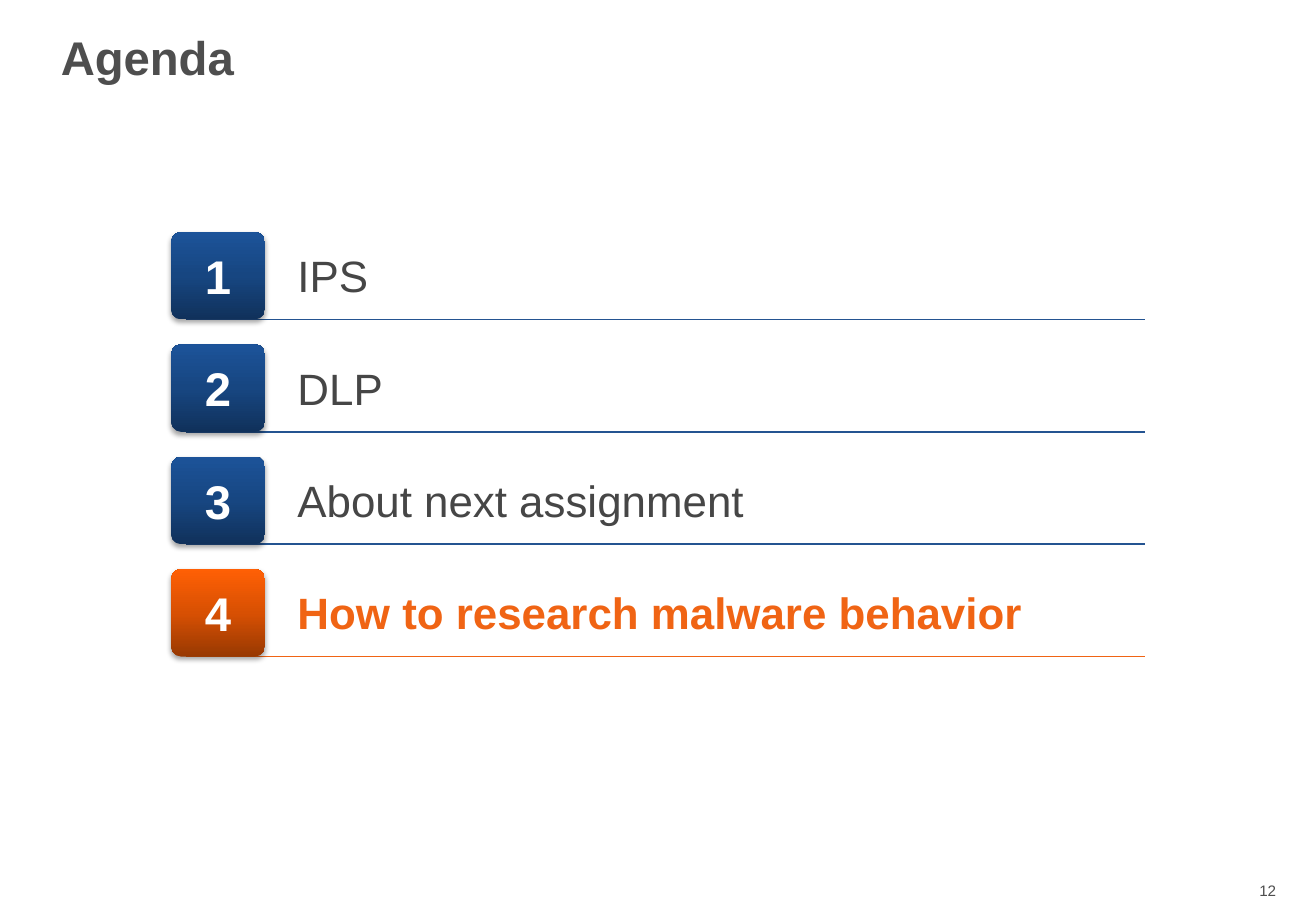
"""Build the agenda slide with four numbered rows, the last one active."""
from dataclasses import dataclass

from pptx import Presentation
from pptx.dml.color import RGBColor
from pptx.enum.shapes import MSO_CONNECTOR as Link, MSO_SHAPE as Form
from pptx.enum.text import MSO_ANCHOR as Anchor, MSO_AUTO_SIZE as Fit, PP_ALIGN as Align
from pptx.oxml import parse_xml
from pptx.oxml.ns import nsdecls
from pptx.util import Pt

PX = 4572
FONT = "Arial"
GREY, DARK, WHITE = "4E4E4E", "464646", "FFFFFF"
TOP, STEP = 382, 185
TILE_W, TILE_H = 154, 144


@dataclass(frozen=True)
class Look:
    line: str
    ink: str
    stops: tuple[str, str, str]
    bold: bool = False


@dataclass(frozen=True)
class Item:
    label: str
    look: Look


BLUE = Look("245491", DARK, ("10315B", "174681", "1C5399"))
HOT = Look("F06414", "F06414", ("983902", "D85003", "FF6005"), True)
ITEMS = (
    Item("IPS", BLUE),
    Item("DLP", BLUE),
    Item("About next assignment", BLUE),
    Item("How to research malware behavior", HOT),
)


def px(*sizes: int) -> tuple[int, ...]:
    return tuple(size * PX for size in sizes)


def tint(target, code: str) -> None:
    target.rgb = RGBColor.from_string(code)


def write(frame, text: str, size: int, ink: str, bold: bool = False, align=Align.LEFT):
    para = frame.paragraphs[0]
    para.alignment = align
    run = para.add_run()
    run.text = text
    run.font.name, run.font.size, run.font.bold = FONT, Pt(size), bold
    tint(run.font.color, ink)
    return para


def add_text(shapes, box: tuple[int, ...], text: str, size: int, ink: str,
             bold: bool = False, align=Align.LEFT):
    frame = shapes.add_textbox(*px(*box)).text_frame
    frame.word_wrap = True
    frame.auto_size = Fit.SHAPE_TO_FIT_TEXT
    return write(frame, text, size, ink, bold, align)


def add_rule(shapes, y: int, code: str) -> None:
    rule = shapes.add_connector(Link.STRAIGHT, *px(306, y, 1884, y))
    tint(rule.line.color, code)
    rule.line.width = Pt(1)
    rule._element.spPr.append(parse_xml(f'<a:effectLst {nsdecls("a")}/>'))


def add_tile(shapes, y: int, text: str, stops: tuple[str, str, str]) -> None:
    tile = shapes.add_shape(Form.ROUNDED_RECTANGLE, *px(282, y, TILE_W, TILE_H))
    tile.adjustments[0] = 0.11
    tile.line.fill.background()
    marks = "".join(f'<a:gs pos="{i * 50000}"><a:srgbClr val="{code}"/></a:gs>'
                    for i, code in enumerate(stops))
    props = tile._element.spPr
    props.insert(2, parse_xml(
        f'<a:gradFill {nsdecls("a")} rotWithShape="1"><a:gsLst>{marks}</a:gsLst>'
        '<a:lin ang="16200000" scaled="0"/></a:gradFill>'))
    props.append(parse_xml(
        f'<a:effectLst {nsdecls("a")}><a:outerShdw blurRad="40000" dist="23000" '
        'dir="5400000" rotWithShape="0"><a:srgbClr val="000000"><a:alpha val="35000"/>'
        '</a:srgbClr></a:outerShdw></a:effectLst>'))
    frame = tile.text_frame
    frame.vertical_anchor = Anchor.MIDDLE
    frame.margin_left, frame.margin_right, frame.margin_top, frame.margin_bottom = px(40, 40, 20, 20)
    write(frame, text, 28, WHITE, True, Align.CENTER)


def add_row(slide, index: int, item: Item) -> None:
    y, look = TOP + index * STEP, item.look
    shapes = slide.shapes.add_group_shape().shapes
    add_rule(shapes, y + TILE_H, look.line)
    add_tile(shapes, y, str(index + 1), look.stops)
    para = add_text(shapes, (470, y + 18, 1428, 108), item.label, 26, look.ink, look.bold)
    para.space_before = Pt(2.4)


def set_title(slide, text: str) -> None:
    title = slide.shapes.title
    title.left, title.top, title.width, title.height = px(80, 0, 1624, 200)
    frame = title.text_frame
    frame.auto_size = Fit.NONE
    frame.vertical_anchor = Anchor.MIDDLE
    write(frame, text, 28, GREY, True).line_spacing = 0.85


def main() -> None:
    deck = Presentation()
    deck.slide_width, deck.slide_height = px(2166, 1500)
    slide = deck.slides.add_slide(deck.slide_layouts[5])
    set_title(slide, "Agenda")
    add_text(slide.shapes, (1976, 1442, 144, 50), "12", 9, GREY, align=Align.RIGHT)
    for index, item in enumerate(ITEMS):
        add_row(slide, index, item)
    deck.save("out.pptx")


if __name__ == "__main__":
    main()
